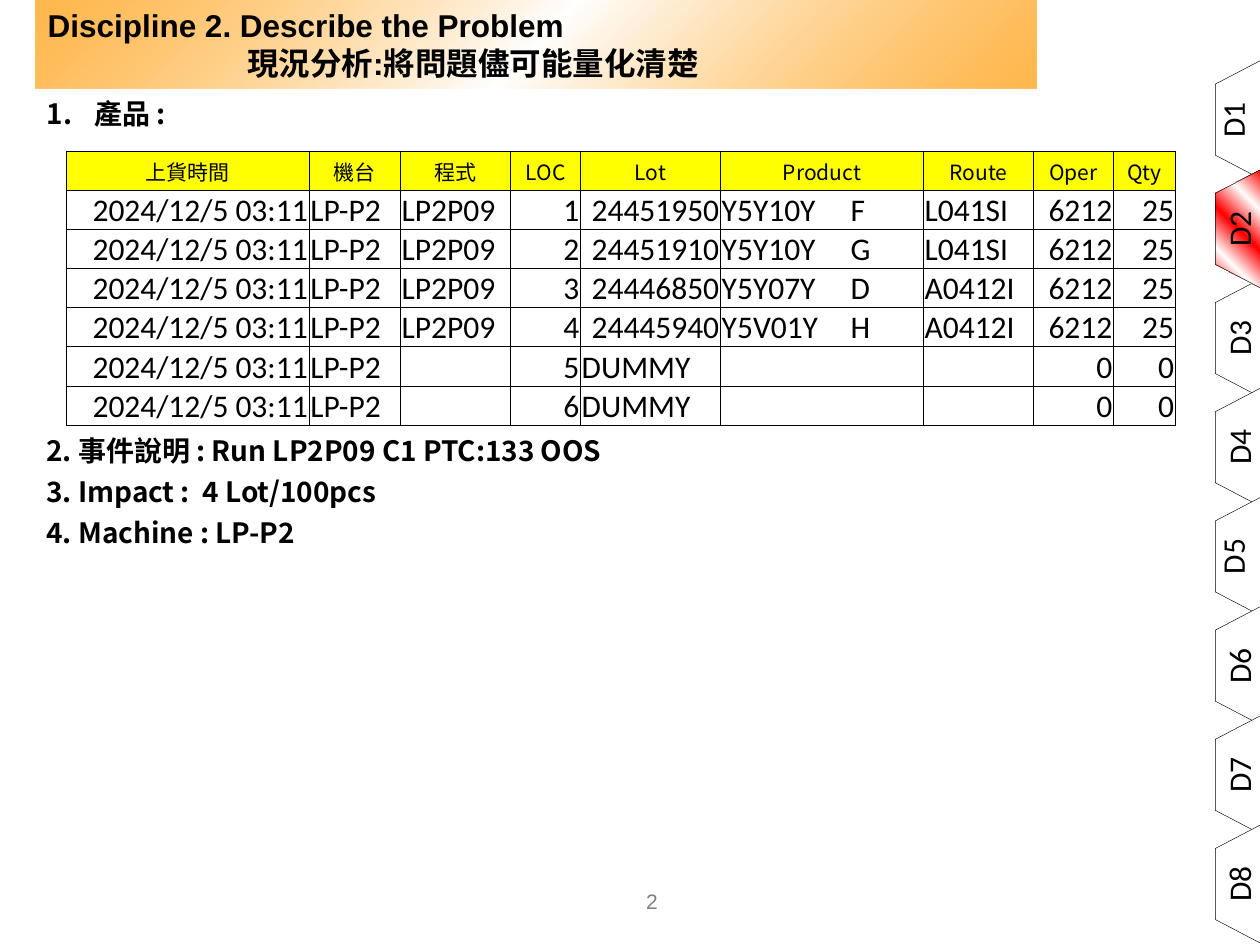
"""Build the 8D report slide for Discipline 2, Describe the Problem."""
from lxml import etree
from pptx import Presentation
from pptx.dml.color import RGBColor
from pptx.enum import shapes, text
from pptx.oxml import ns
from pptx.util import Pt

CJK = "Noto Sans CJK SC"
LEFT, CENTER, RIGHT = text.PP_ALIGN.LEFT, text.PP_ALIGN.CENTER, text.PP_ALIGN.RIGHT
MIDDLE, BOTTOM = text.MSO_ANCHOR.MIDDLE, text.MSO_ANCHOR.BOTTOM

HEADINGS = [("Discipline 2. Describe the Problem", 0),
            ("現況分析:將問題儘可能量化清楚", 114)]
ITEMS = [("產品 :", 0),
         ("2. 事件說明 : Run LP2P09 C1 PTC:133 OOS", 173.4),
         ("3. Impact :  4 Lot/100pcs", 4.25),
         ("4. Machine : LP-P2", 4.25)]
COLUMNS = [("上貨時間", 138.6), ("機台", 52.2), ("程式", 62.9), ("LOC", 40),
           ("Lot", 80), ("Product", 116), ("Route", 62.9), ("Oper", 45.7),
           ("Qty", 35.3)]
LOADED, MACHINE = "2024/12/5 03:11", "LP-P2"
LOTS = [("LP2P09", "1", "24451950", "Y5Y10Y\tF", "L041SI", "6212", "25"),
        ("LP2P09", "2", "24451910", "Y5Y10Y\tG", "L041SI", "6212", "25"),
        ("LP2P09", "3", "24446850", "Y5Y07Y\tD", "A0412I", "6212", "25"),
        ("LP2P09", "4", "24445940", "Y5V01Y\tH", "A0412I", "6212", "25"),
        ("", "5", "DUMMY", "", "", "0", "0"),
        ("", "6", "DUMMY", "", "", "0", "0")]
STEPS = ["D1", "D3", "D4", "D5", "D6", "D7", "D8", "D2"]
CURRENT = "D2"
LABEL_LEFT = {"D1": 691.2, "D5": 687.6}
ORANGE_STOPS = [(0, "FF9900", 70), (50, "FFFFFF", 100), (100, "FF9900", 70)]
RED_STOPS = [(0, "FE0600", 100), (25, "FFFFFF", 100), (50, "FF0000", 100),
             (75, "FFFFFF", 100), (100, "FE0600", 100)]


def color(value):
    return RGBColor.from_string(value)


def child(parent, tag, **attributes):
    node = etree.SubElement(parent, ns.qn(tag))
    for name, value in attributes.items():
        node.set(name, str(value))
    return node


def place(shape, left, top, width, height):
    shape.left, shape.top, shape.width, shape.height = map(Pt, (left, top, width, height))


def write(paragraph, words, size, font, align=LEFT, ink="000000", bold=False):
    paragraph.alignment = align
    run = paragraph.add_run()
    run.text = words
    run.font.size, run.font.name, run.font.bold = Pt(size), font, bold
    run.font.color.rgb = color(ink)
    if font == CJK:
        child(run.font._element, "a:ea", typeface=CJK)


def paragraphs(frame, count):
    return [frame.paragraphs[0]] + [frame.add_paragraph() for _ in range(count - 1)]


def paint_gradient(shape, stops):
    shape.fill.gradient()
    shape.fill.gradient_angle = 315
    stop_list = shape._element.spPr.find(ns.qn("a:gradFill")).find(ns.qn("a:gsLst"))
    for old in list(stop_list):
        stop_list.remove(old)
    for position, value, opacity in stops:
        stop = child(stop_list, "a:gs", pos=position * 1000)
        tint = child(stop, "a:srgbClr", val=value)
        if opacity < 100:
            child(tint, "a:alpha", val=opacity * 1000)


def add_label(slide, box, words, size, font, ink="000000", upward=False):
    label = slide.shapes.add_textbox(*map(Pt, box))
    frame = label.text_frame
    frame.word_wrap = True
    frame.vertical_anchor = MIDDLE
    if upward:
        frame._txBody.bodyPr.set("vert", "vert270")
    write(frame.paragraphs[0], words, size, font, CENTER, ink)


def fill_title(title):
    place(title, 20, 0, 572.4, 50.4)
    paint_gradient(title, ORANGE_STOPS)
    frame = title.text_frame
    frame.auto_size = text.MSO_AUTO_SIZE.NONE
    frame.vertical_anchor = MIDDLE
    for paragraph, (words, indent) in zip(paragraphs(frame, len(HEADINGS)), HEADINGS):
        paragraph._p.get_or_add_pPr().set("marL", str(Pt(indent)))
        write(paragraph, words, 18, "Arial", bold=True)


def fill_body(body):
    place(body, 19.4, 54, 666, 288.7)
    frame = body.text_frame
    frame.auto_size = text.MSO_AUTO_SIZE.NONE
    frame.margin_top = Pt(1)
    for paragraph, (words, gap) in zip(paragraphs(frame, len(ITEMS)), ITEMS):
        numbered = words == ITEMS[0][0]
        hang = Pt(27.4) if numbered else 0
        properties = paragraph._p.get_or_add_pPr()
        properties.set("marL", str(hang))
        properties.set("indent", str(-hang))
        if numbered:
            child(properties, "a:buFont", typeface=CJK)
            child(properties, "a:buAutoNum", type="arabicPeriod")
        else:
            child(properties, "a:buNone")
        paragraph.space_before = Pt(gap)
        write(paragraph, words, 16, CJK, bold=True)


def add_borders(cell):
    properties = cell._tc.get_or_add_tcPr()
    for index, side in enumerate(("a:lnL", "a:lnR", "a:lnT", "a:lnB")):
        line = child(properties, side, w=Pt(0.5))
        child(child(line, "a:solidFill"), "a:srgbClr", val="000000")
        properties.remove(line)
        properties.insert(index, line)


def add_lots(slide):
    rows = [[name for name, _ in COLUMNS]] + [[LOADED, MACHINE, *lot] for lot in LOTS]
    width, row_height = sum(size for _, size in COLUMNS), 22.35
    table = slide.shapes.add_table(len(rows), len(COLUMNS), Pt(38.1), Pt(86.5), Pt(width),
                                   Pt(row_height * len(rows))).table
    table.first_row = table.horz_banding = False
    for column, (_, size) in zip(table.columns, COLUMNS):
        column.width = Pt(size)
    for r, row in enumerate(rows):
        table.rows[r].height = Pt(row_height)
        for c, words in enumerate(row):
            cell = table.cell(r, c)
            cell.margin_left = cell.margin_right = cell.margin_top = Pt(0.7)
            cell.margin_bottom = 0
            cell.vertical_anchor = BOTTOM if r else MIDDLE
            paragraph = cell.text_frame.paragraphs[0]
            if r == 0:
                cell.fill.solid()
                cell.fill.fore_color.rgb = color("FFFF00")
                write(paragraph, words, 12, CJK, CENTER)
            else:
                cell.fill.background()
                if "\t" in words:
                    tabs = child(paragraph._p.get_or_add_pPr(), "a:tabLst")
                    child(tabs, "a:tab", pos=Pt(73.7), algn="l")
                if words:
                    numeric = words[0].isdigit()
                    write(paragraph, words, 18, "Calibri", RIGHT if numeric else LEFT)
            add_borders(cell)


def add_step(slide, step):
    middle = 68.4 + 62.4 * (int(step[1]) - 1)
    width, height = 67.7, 25.9
    flag = slide.shapes.add_shape(shapes.MSO_SHAPE.FLOWCHART_MANUAL_OPERATION, Pt(673.6),
                                  Pt(middle - height / 2), Pt(width), Pt(height))
    flag.rotation = 90
    flag.shadow.inherit = False
    flag.line.color.rgb = color("000000")
    flag.line.width = Pt(0.25)
    if step == CURRENT:
        paint_gradient(flag, RED_STOPS)
    else:
        flag.fill.solid()
        flag.fill.fore_color.rgb = color("FFFFFF")
    left = LABEL_LEFT.get(step, 691.2)
    label_width = 25.9 if step == "D1" else 33.1
    add_label(slide, (left, middle - 19.1, label_width, 38.2), step, 18, "Calibri", upward=True)


def main():
    deck = Presentation()
    deck.slide_width, deck.slide_height = Pt(720), Pt(540)
    slide = deck.slides.add_slide(deck.slide_layouts[1])
    add_label(slide, (288.7, 500.4, 167.8, 28.8), "2", 12, "Arial", "808080")
    fill_title(slide.shapes.title)
    fill_body(slide.placeholders[1])
    for step in STEPS:
        add_step(slide, step)
    add_lots(slide)
    deck.save("out.pptx")


if __name__ == "__main__":
    main()
